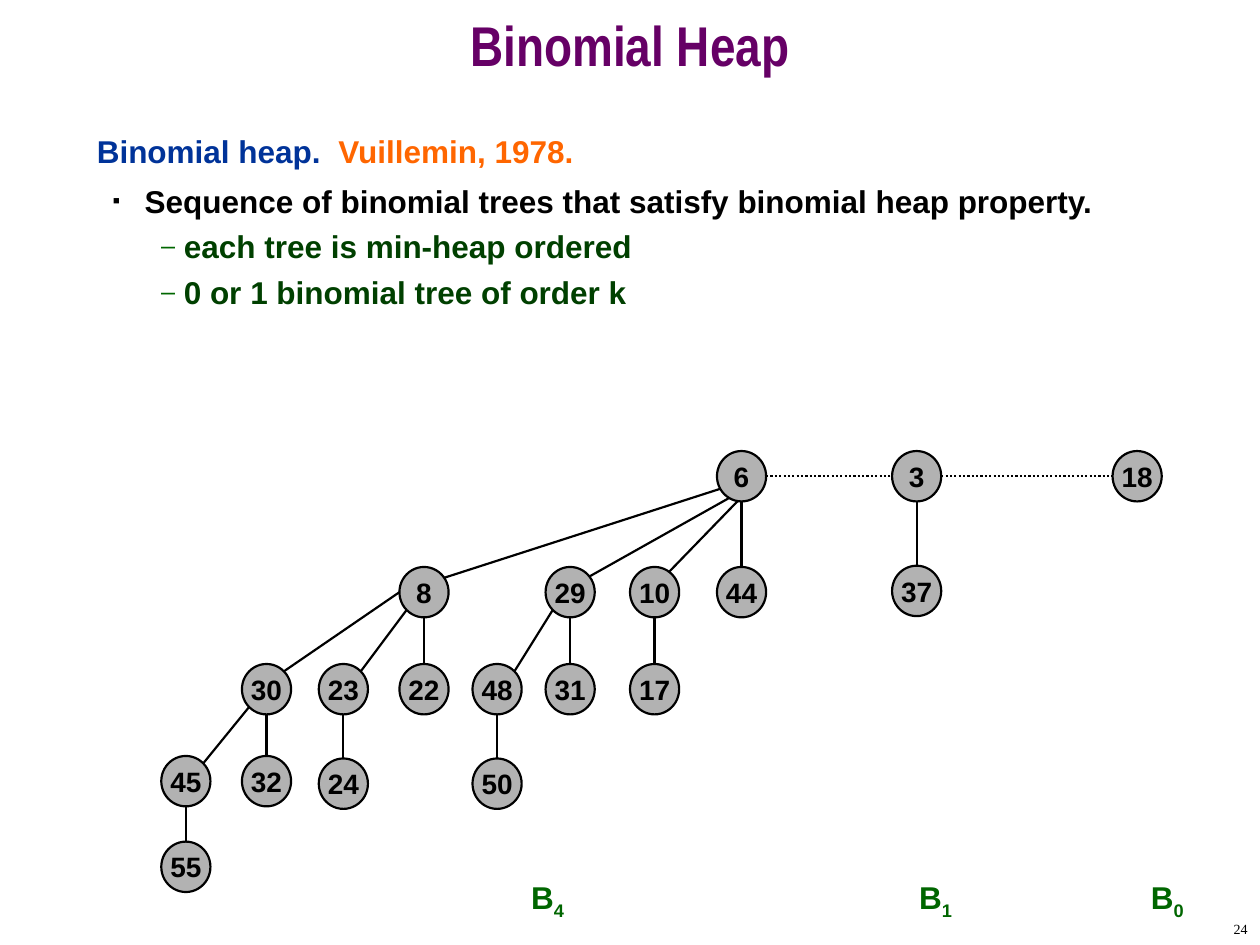
import lxml.etree
import pptx
import pptx.dml.color
import pptx.enum.dml
import pptx.enum.shapes
import pptx.enum.text
import pptx.oxml.ns
import pptx.util
from pptx.util import Inches

BLACK, GRAY, PURPLE, BLUE = "000000", "B2B2B2", "660066", "003399"
ORANGE, GREEN, DARK_GREEN = "FF6600", "006600", "004000"
NODE_WIDTH, NODE_HEIGHT = 0.39, 0.4
DIAGONAL = 0.354
ALIGN = pptx.enum.text.PP_ALIGN

ROOT = {"6": (5.69, 3.58)}
ORDER_4 = {
    "8": (3.17, 4.5), "29": (4.33, 4.5), "10": (5, 4.5), "44": (5.69, 4.5),
    "30": (1.92, 5.27), "23": (2.53, 5.27), "22": (3.17, 5.27),
    "48": (3.75, 5.27), "31": (4.33, 5.27), "17": (5, 5.27),
    "45": (1.28, 6), "32": (1.92, 6), "24": (2.53, 6.02), "50": (3.75, 6.02),
    "55": (1.28, 6.68),
}
ORDER_1 = {"3": (7.08, 3.58), "37": (7.08, 4.49)}
ORDER_0 = {"18": (8.83, 3.58)}
NODES = {**ROOT, **ORDER_4, **ORDER_1, **ORDER_0}
STRAIGHT_EDGES = [("6", "44"), ("8", "22"), ("29", "31"), ("10", "17"), ("30", "32"),
                  ("23", "24"), ("48", "50"), ("45", "55")]
SLANTED_EDGES = [("8", "23"), ("29", "48"), ("30", "45")]
ROOT_LINES = [((5.88, 3.9), (4.67, 4.58)), ((5.9, 3.93), (5.28, 4.57)),
              ((5.87, 3.83), (3.45, 4.61))]


def color(value):
    """Return the colour for a hex string."""
    return pptx.dml.color.RGBColor.from_string(value)


def set_font(paragraph, size, value, name="Arial", bold=True):
    """Set the font of a whole paragraph."""
    font = paragraph.font
    font.name, font.size, font.bold = name, pptx.util.Pt(size), bold
    font.color.rgb = color(value)


def set_title(slide):
    """Place and format the slide title."""
    title = slide.shapes.title
    title.left, title.top, title.width, title.height = 0, 0, Inches(10), Inches(0.83)
    frame = title.text_frame
    frame.text = "Binomial Heap"
    frame.auto_size = pptx.enum.text.MSO_AUTO_SIZE.NONE
    frame.vertical_anchor = pptx.enum.text.MSO_ANCHOR.MIDDLE
    paragraph = frame.paragraphs[0]
    paragraph.alignment = ALIGN.CENTER
    paragraph.line_spacing = 0.7
    set_font(paragraph, 32, PURPLE, "Arial Narrow")


def add_text_box(slide, left, top, width, height):
    """Add a wrapping text box and return its text frame."""
    box = slide.shapes.add_textbox(Inches(left), Inches(top), Inches(width), Inches(height))
    box.text_frame.word_wrap = True
    return box.text_frame


def add_bullet(frame, text, level, margin, indent, bullet, size, bullet_color, text_color):
    """Add a bulleted paragraph and return it."""
    paragraph = frame.add_paragraph()
    paragraph.text = text
    paragraph.level = level
    paragraph.space_before = pptx.util.Pt(4.5)
    properties = paragraph._p.get_or_add_pPr()
    properties.set("marL", str(Inches(margin)))
    properties.set("indent", str(Inches(indent)))
    qualified = pptx.oxml.ns.qn
    bullet_fill = lxml.etree.SubElement(properties, qualified("a:buClr"))
    lxml.etree.SubElement(bullet_fill, qualified("a:srgbClr"), val=bullet_color)
    lxml.etree.SubElement(properties, qualified("a:buSzPct"), val=str(size * 1000))
    lxml.etree.SubElement(properties, qualified("a:buFont"), typeface="Arial")
    lxml.etree.SubElement(properties, qualified("a:buChar"), char=bullet)
    set_font(paragraph, 18, text_color)
    return paragraph


def add_body(slide):
    """Add the definition and its bullets."""
    frame = add_text_box(slide, 0.67, 1, 8.58, 5.92)
    heading = frame.paragraphs[0]
    set_font(heading, 18, BLUE)
    heading.add_run().text = "Binomial heap.  "
    author = heading.add_run()
    author.text = "Vuillemin, 1978."
    author.font.color.rgb = color(ORANGE)
    sequence = add_bullet(frame, "Sequence of binomial trees that satisfy binomial heap property.",
                          1, 0.38, -0.25, "■", 35, BLACK, BLACK)
    sequence.line_spacing = 1.1
    for text in ("each tree is min-heap ordered", "0 or 1 binomial tree of order k"):
        add_bullet(frame, text, 2, 0.69, -0.18, "–", 80, GREEN, DARK_GREEN)


def add_line(shapes, start, end, dotted=False):
    """Add a straight black line between two points."""
    connector = shapes.add_connector(pptx.enum.shapes.MSO_CONNECTOR.STRAIGHT,
                                     *(Inches(value) for value in (*start, *end)))
    connector.line.color.rgb = color(BLACK)
    connector.line.width = pptx.util.Pt(1.25)
    if dotted:
        connector.line.dash_style = pptx.enum.dml.MSO_LINE.ROUND_DOT
    lxml.etree.SubElement(connector._element.spPr, pptx.oxml.ns.qn("a:effectLst"))


def node_point(key, across, down):
    """Return a point of a node, in fractions of its size from its centre."""
    left, top = NODES[key]
    return left + NODE_WIDTH * (0.5 + across), top + NODE_HEIGHT * (0.5 + down)


def add_edge(shapes, parent, child):
    """Join a parent to the child right below it."""
    add_line(shapes, node_point(parent, 0, 0.5), node_point(child, 0, -0.5))


def add_slanted_edge(shapes, parent, child):
    """Join a parent to a child on its lower left."""
    add_line(shapes, node_point(parent, -DIAGONAL, DIAGONAL),
             node_point(child, DIAGONAL, -DIAGONAL))


def add_nodes(shapes, nodes):
    """Add the round nodes with their keys."""
    for key, (left, top) in nodes.items():
        node = shapes.add_shape(pptx.enum.shapes.MSO_SHAPE.OVAL, Inches(left), Inches(top),
                                Inches(NODE_WIDTH), Inches(NODE_HEIGHT))
        node.shadow.inherit = False
        node.fill.solid()
        node.fill.fore_color.rgb = color(GRAY)
        node.line.color.rgb = color(BLACK)
        node.line.width = pptx.util.Pt(1.25)
        frame = node.text_frame
        frame.word_wrap = False
        frame.vertical_anchor = pptx.enum.text.MSO_ANCHOR.MIDDLE
        paragraph = frame.paragraphs[0]
        paragraph.text = key
        paragraph.alignment = ALIGN.CENTER
        set_font(paragraph, 16, BLACK)


def add_order_label(slide, left, order):
    """Add the name of a tree with its order as a subscript."""
    paragraph = add_text_box(slide, left, 6.92, 0.69, 0.44).paragraphs[0]
    paragraph.alignment = ALIGN.CENTER
    set_font(paragraph, 18, GREEN)
    paragraph.add_run().text = "B"
    subscript = paragraph.add_run()
    subscript.text = order
    subscript._r.get_or_add_rPr().set("baseline", "-25000")


def add_heap(slide):
    """Add the three binomial trees and the root list."""
    tree = slide.shapes.add_group_shape().shapes
    for start, end in ROOT_LINES:
        add_line(tree, start, end)
    add_line(tree, node_point("8", -0.5, 0), node_point("30", DIAGONAL, -DIAGONAL))
    for parent, child in STRAIGHT_EDGES:
        add_edge(tree, parent, child)
    for parent, child in SLANTED_EDGES:
        add_slanted_edge(tree, parent, child)
    add_nodes(tree, {**ROOT, **ORDER_4})
    add_edge(slide.shapes, "3", "37")
    add_nodes(slide.shapes, {**ORDER_1, **ORDER_0})
    for first, second in (("6", "3"), ("3", "18")):
        add_line(slide.shapes, node_point(first, 0.5, 0), node_point(second, -0.5, 0), dotted=True)


def add_page_number(slide):
    """Add the page number at the lower right."""
    frame = add_text_box(slide, 7.92, 7.25, 2.08, 0.25)
    frame.vertical_anchor = pptx.enum.text.MSO_ANCHOR.MIDDLE
    paragraph = frame.paragraphs[0]
    paragraph.text = "24"
    paragraph.alignment = ALIGN.RIGHT
    set_font(paragraph, 8, BLACK, "Times New Roman", False)


def main():
    """Build the slide and save it."""
    presentation = pptx.Presentation()
    presentation.slide_width, presentation.slide_height = Inches(10), Inches(7.5)
    slide = presentation.slides.add_slide(presentation.slide_layouts[5])
    set_title(slide)
    add_body(slide)
    for left, order in ((4, "4"), (7.08, "1"), (8.92, "0")):
        add_order_label(slide, left, order)
    add_heap(slide)
    add_page_number(slide)
    presentation.save("out.pptx")


if __name__ == "__main__":
    main()
